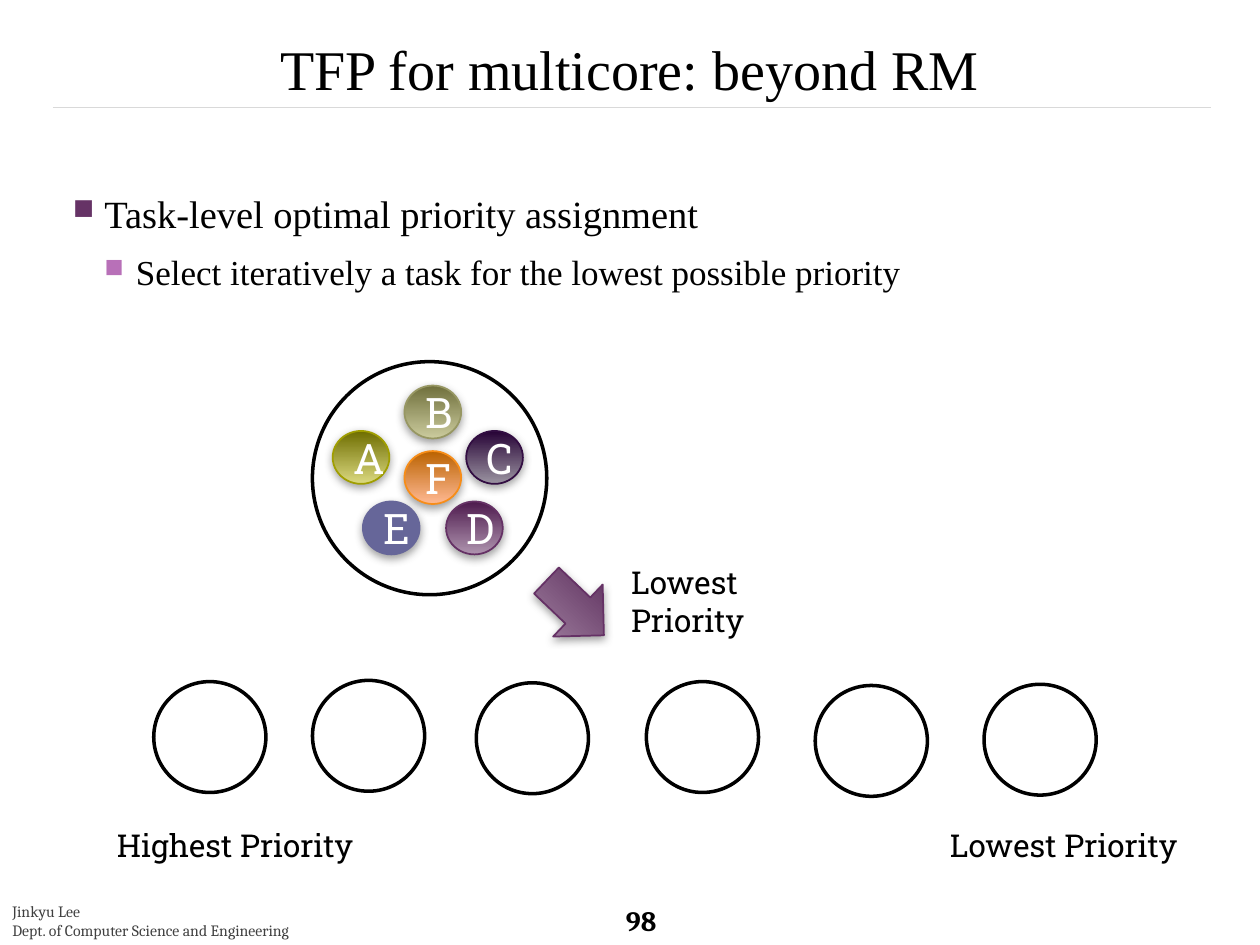
from lxml import etree
from pptx import Presentation
from pptx.dml.color import RGBColor
from pptx.enum import shapes, text
from pptx.oxml import parse_xml
from pptx.oxml.ns import nsdecls, qn
from pptx.util import Pt

BLACK = RGBColor(0x00, 0x00, 0x00)
WHITE = RGBColor(0xFF, 0xFF, 0xFF)
DARK_GRAY = RGBColor(0x40, 0x40, 0x40)
RULE_GRAY = RGBColor(0xD9, 0xD9, 0xD9)
SLATE = RGBColor(0x66, 0x66, 0x99)
OLIVE = [RGBColor.from_string(c) for c in ("6E6D00", "DBD980", "A09E00")]
KHAKI = [RGBColor.from_string(c) for c in ("6F6F3C", "CBCB9D", "979763")]
INDIGO = [RGBColor.from_string(c) for c in ("260235", "9B94A1", "320D42")]
PURPLE = [RGBColor.from_string(c) for c in ("4D1A4D", "AF94AF", "653165")]
ORANGE = [RGBColor.from_string(c) for c in ("BA6200", "FFB993", "F78D18")]
PLAIN_SLATE = [SLATE, SLATE, SLATE]
BULLET_PURPLE = RGBColor(0x66, 0x33, 0x66)
BULLET_PINK = RGBColor(0xB8, 0x70, 0xB8)

SHADOW = (
    f'<a:outerShdw {nsdecls("a")} blurRad="63500" dist="25400" dir="5400000" rotWithShape="0">'
    '<a:srgbClr val="808080"><a:alpha val="75000"/></a:srgbClr></a:outerShdw>'
)

presentation = Presentation()
presentation.slide_width = Pt(720)
presentation.slide_height = Pt(540)
slide = presentation.slides.add_slide(presentation.slide_layouts[6])


def add_text(left, top, width, height, content, font, size, color=BLACK):
    box = slide.shapes.add_textbox(Pt(left), Pt(top), Pt(width), Pt(height))
    frame = box.text_frame
    frame.word_wrap = True
    frame.text = content
    for paragraph in frame.paragraphs:
        paragraph.font.name = font
        paragraph.font.size = Pt(size)
        paragraph.font.color.rgb = color
    return frame


def add_figure(kind, left, top, width, height, colors=None):
    shape = slide.shapes.add_shape(kind, Pt(left), Pt(top), Pt(width), Pt(height))
    shape.shadow.inherit = False
    if colors is None:
        shape.fill.background()
        shape.line.color.rgb = BLACK
        shape.line.width = Pt(2)
        return shape
    start, end, outline = colors
    if start == end:
        shape.fill.solid()
        shape.fill.fore_color.rgb = start
    else:
        shape.fill.gradient()
        shape.fill.gradient_angle = 270
        for stop, color in zip(shape.fill.gradient_stops, (start, end)):
            stop.color.rgb = color
    shape.line.color.rgb = outline
    shape.line.width = Pt(1)
    shape.element.spPr.find(qn("a:effectLst")).append(parse_xml(SHADOW))
    return shape


rule = slide.shapes.add_connector(
    shapes.MSO_CONNECTOR.STRAIGHT, Pt(30.24), Pt(61.2), Pt(692), Pt(61.2)
)
rule.line.color.rgb = RULE_GRAY
rule.line.width = Pt(0.1)
etree.SubElement(rule.element.spPr, qn("a:effectLst"))

page_number = add_text(350.64, 514.8, 47.52, 22.32, "98", "Cambria", 16)
page_number.vertical_anchor = text.MSO_ANCHOR.MIDDLE
page_number.paragraphs[0].font.bold = True
add_text(0, 511.92, 198.72, 28.8,
         "Jinkyu Lee\nDept. of Computer Science and Engineering", "Cambria", 9, DARK_GRAY)

title = add_text(0, 12.24, 720, 43.2, "TFP for multicore: beyond RM", "Times New Roman", 32)
title.paragraphs[0].alignment = text.PP_ALIGN.CENTER
title.paragraphs[0].line_spacing = 1.1

body = slide.shapes.add_textbox(Pt(34.56), Pt(102.24), Pt(661.68), Pt(400.32)).text_frame
body.word_wrap = True
body.text = (
    "Task-level optimal priority assignment\n"
    "Select iteratively a task for the lowest possible priority"
)
bullet_styles = [(18, 22, 0, BULLET_PURPLE), (36, 20, 6, BULLET_PINK)]
for level, (paragraph, style) in enumerate(zip(body.paragraphs, bullet_styles)):
    indent, size, space_before, color = style
    paragraph.level = level
    paragraph.line_spacing = 1.1
    paragraph.space_before = Pt(space_before)
    properties = paragraph._p.get_or_add_pPr()
    properties.set("marL", str(Pt(indent)))
    properties.set("indent", str(-Pt(18)))
    bullet_color = etree.SubElement(properties, qn("a:buClr"))
    etree.SubElement(bullet_color, qn("a:srgbClr"), val=str(color))
    etree.SubElement(properties, qn("a:buSzPct"), val="75000")
    etree.SubElement(properties, qn("a:buChar"), char="■")
    paragraph.font.name = "Times New Roman"
    paragraph.font.size = Pt(size)
    paragraph.font.color.rgb = BLACK

OVAL = shapes.MSO_SHAPE.OVAL
tasks = [
    ("A", 190.08, 246.24, OLIVE),
    ("B", 231.12, 220.32, KHAKI),
    ("C", 266.4, 246.24, INDIGO),
    ("D", 254.88, 286.56, PURPLE),
    ("E", 207.36, 286.56, PLAIN_SLATE),
    ("F", 231.12, 257.76, ORANGE),
]
for name, left, top, colors in tasks:
    task = add_figure(OVAL, left, top, 32.4, 30.24, colors)
    task.text_frame.text = name
    task.text_frame.vertical_anchor = text.MSO_ANCHOR.MIDDLE
    paragraph = task.text_frame.paragraphs[0]
    paragraph.alignment = text.PP_ALIGN.CENTER
    paragraph.font.name = "Roboto Slab"
    paragraph.font.size = Pt(24)
    paragraph.font.color.rgb = WHITE

add_figure(OVAL, 178.56, 206.64, 133.92, 133.2)

arrow = add_figure(shapes.MSO_SHAPE.RIGHT_ARROW, 306, 326.88, 45.36, 41.04, PURPLE)
arrow.rotation = 43.6

priority_slots = [
    (87.84, 389.5), (178.56, 388.8), (272.16, 390.2),
    (369.36, 389.5), (465.84, 391.7), (562.32, 391),
]
for left, top in priority_slots:
    add_figure(OVAL, left, top, 64.08, 63.36)

priority_labels = [
    ("Lowest Priority", 353.52, 318.24, 135.36),
    ("Lowest Priority", 535.68, 468.72, 181.44),
    ("Highest Priority", 59.76, 468.72, 181.44),
]
for label, left, top, width in priority_labels:
    add_text(left, top, width, 28.8, label, "Roboto Slab", 18)

presentation.save("out.pptx")
